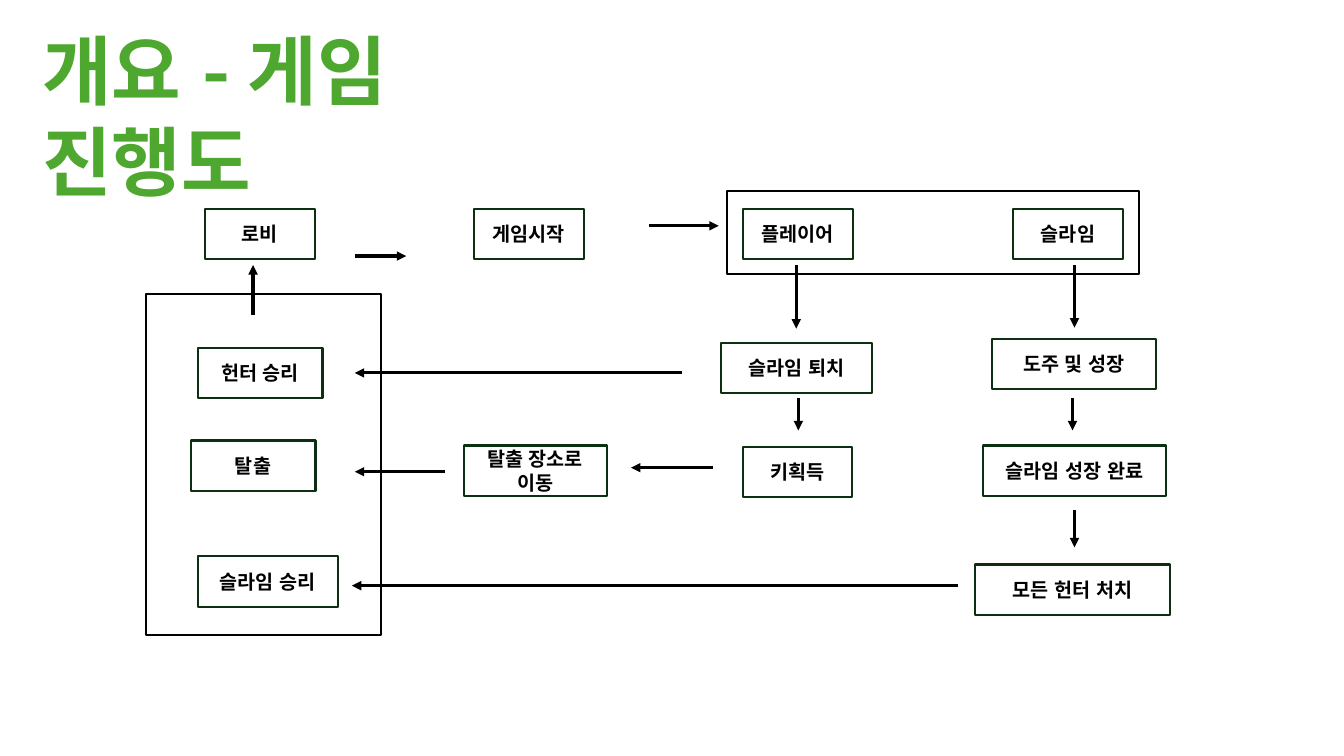
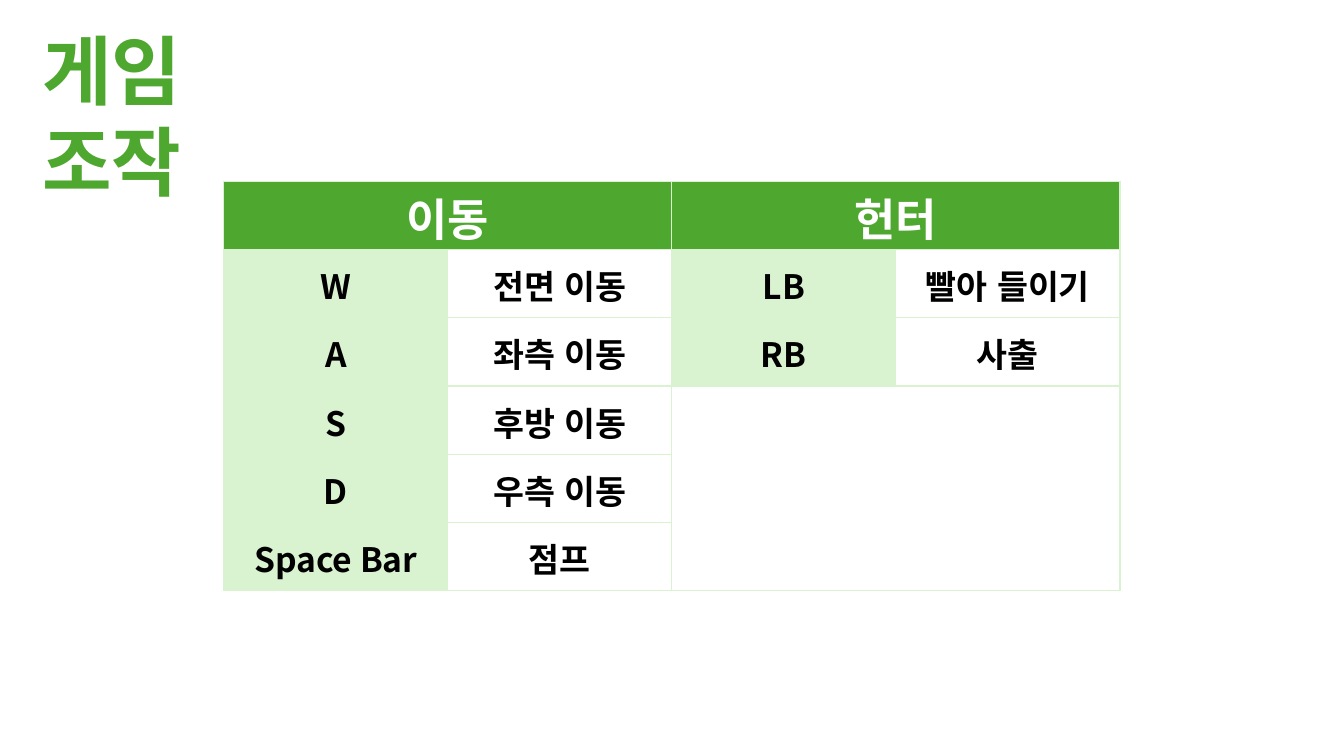
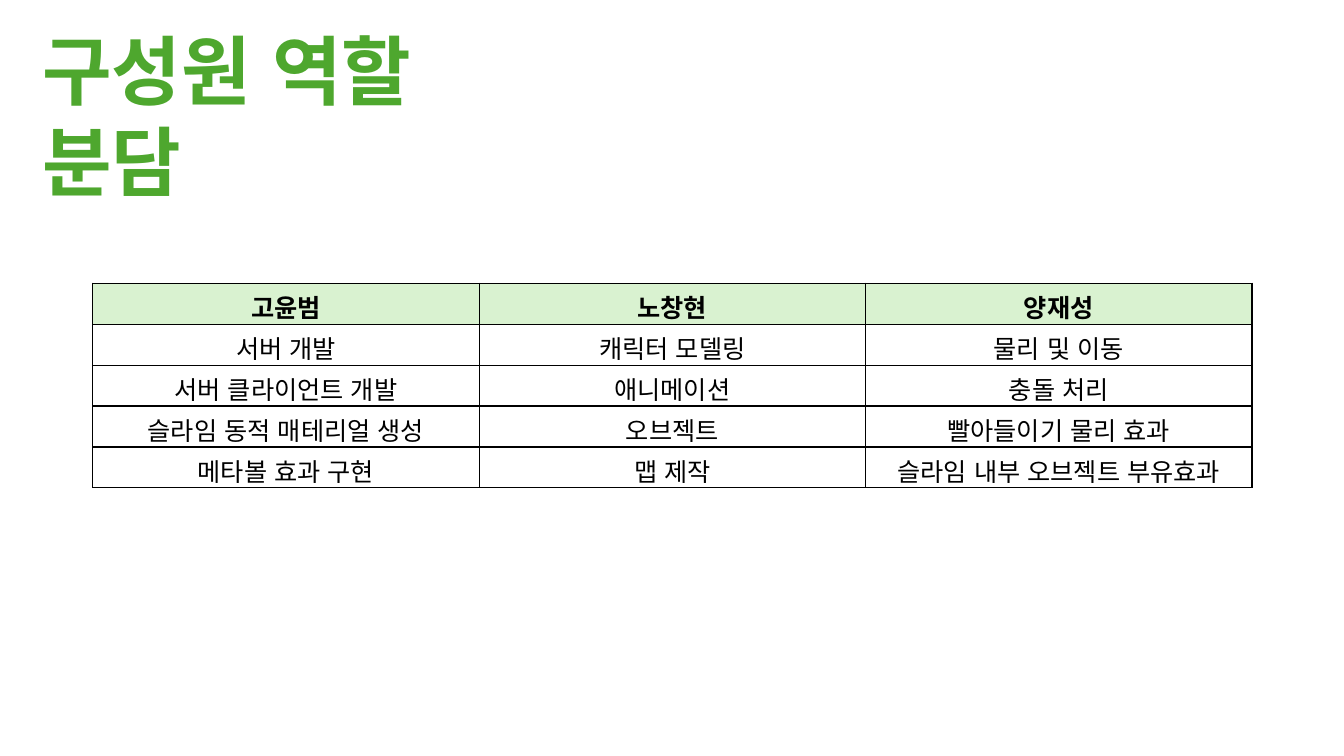
from lxml import etree
from pptx import Presentation, util as u
from pptx.dml.color import RGBColor
from pptx.enum import lang, shapes, text
from pptx.oxml.ns import qn

FONT = "Noto Sans CJK KR"
GREEN, PALE, DARK = "4EA72E", "D9F2D0", "0B2F10"
BLACK, WHITE = "000000", "FFFFFF"
color = RGBColor.from_string

deck = Presentation()
deck.slide_width, deck.slide_height = u.Inches(13.33), u.Inches(7.5)
column, row = deck.slide_width / 100, deck.slide_height / 100


def place(x, y, right, down):
    return [round(v) for v in (x * column, y * row, right * column, down * row)]


def write(frame, words, size, hue, bold=True, align=text.PP_ALIGN.CENTER):
    frame.text = words
    paragraph = frame.paragraphs[0]
    paragraph.alignment = align
    font = paragraph.font
    font.name, font.size, font.bold = FONT, u.Pt(size), bold
    font.language_id = lang.MSO_LANGUAGE_ID.KOREAN
    font.color.rgb = color(hue)
    etree.SubElement(paragraph._p.pPr.find(qn("a:defRPr")), qn("a:ea"), typeface=FONT)


pages = []
for heading, span in (("개요 - 게임 진행도", 44.78), ("게임 조작", 22.88), ("구성원 역할 분담", 40.73)):
    page = deck.slides.add_slide(deck.slide_layouts[6])
    title = page.shapes.add_textbox(*place(2.4, 2.53, span, 13.47)).text_frame
    title.word_wrap = True
    title.auto_size = text.MSO_AUTO_SIZE.SHAPE_TO_FIT_TEXT
    title.margin_right = u.Inches(1)
    write(title, heading, 54, GREEN, align=text.PP_ALIGN.LEFT)
    pages.append(page)
flow, controls, roles = pages

STEP = 6.67
players = (54.08, 25.33, 30.68, 10.93, BLACK, "")
endings = (10.88, 38.93, 17.48, 45.07, BLACK, "")
steps = [
    (15.23, 27.6, 8.18, "로비"),
    (35.25, 27.6, 8.18, "게임시작"),
    (55.28, 27.6, 8.18, "플레이어"),
    (75.38, 27.6, 8.18, "슬라임"),
    (14.7, 46, 9.3, "헌터 승리"),
    (14.18, 58.27, 9.3, "탈출"),
    (14.7, 73.6, 10.43, "슬라임 승리"),
    (53.63, 45.33, 11.25, "슬라임 퇴치"),
    (55.28, 59.07, 8.1, "키획득"),
    (34.5, 58.93, 10.65, "탈출 장소로 이동"),
    (73.8, 44.8, 12.23, "도주 및 성장"),
    (73.13, 58.93, 13.65, "슬라임 성장 완료"),
    (72.53, 74.67, 14.55, "모든 헌터 처치"),
]
boxes = [players, endings] + [(x, y, w, STEP, DARK, words) for x, y, w, words in steps]
for x, y, w, h, edge, words in boxes:
    box = flow.shapes.add_shape(shapes.MSO_SHAPE.RECTANGLE, *place(x, y, w, h))
    box.shadow.inherit = False
    box.fill.background()
    box.line.color.rgb = color(edge)
    box.line.width = u.Pt(1.5)
    if words:
        box.text_frame.vertical_anchor = text.MSO_ANCHOR.MIDDLE
        write(box.text_frame, words, 14, BLACK)

across = [
    (26.4, 30.23, 33.87),
    (48.3, 53.48, 29.87),
    (50.78, 26.4, 49.33),
    (53.03, 46.95, 61.87),
    (33.15, 26.4, 62.4),
    (71.25, 26.18, 77.47),
]
upright = [
    (18.83, 41.73, 35.07),
    (59.25, 35.07, 43.47),
    (79.95, 35.07, 43.33),
    (59.4, 52.67, 56.93),
    (79.8, 52.67, 56.93),
    (79.95, 67.47, 72.4),
]
arrows = [(start, y, end, y) for start, end, y in across]
arrows += [(x, start, x, end) for x, start, end in upright]
for ends in arrows:
    arrow = flow.shapes.add_connector(shapes.MSO_CONNECTOR.STRAIGHT, *place(*ends))
    arrow.line.color.rgb = color(BLACK)
    arrow.line.width = u.Pt(2.25)
    etree.SubElement(arrow.line._get_or_add_ln(), qn("a:tailEnd"), type="triangle")
    etree.SubElement(arrow._element.spPr, qn("a:effectLst"))

keys = [
    ("이동", "", "헌터", ""),
    ("W", "전면 이동", "LB", "빨아 들이기"),
    ("A", "좌측 이동", "RB", "사출"),
    ("S", "후방 이동", "", ""),
    ("D", "우측 이동", "", ""),
    ("Space Bar", "점프", "", ""),
]
duties = [
    ("고윤범", "노창현", "양재성"),
    ("서버 개발", "캐릭터 모델링", "물리 및 이동"),
    ("서버 클라이언트 개발", "애니메이션", "충돌 처리"),
    ("슬라임 동적 매테리얼 생성", "오브젝트", "빨아들이기 물리 효과"),
    ("메타볼 효과 구현", "맵 제작", "슬라임 내부 오브젝트 부유효과"),
]
key_merges = [(0, 0, 0, 1), (0, 2, 0, 3), (3, 2, 5, 3)]
key_style = dict(edge=PALE, head=(32, WHITE, GREEN), body=(24, True), margins=(0.03, 0))
duty_style = dict(edge=BLACK, head=(18, BLACK, PALE), body=(18, False), margins=(0.05, 0.05))

for page, area, rows, merges, style in (
    (controls, (16.65, 24, 66.68, 54.13), keys, key_merges, key_style),
    (roles, (6.9, 37.47, 86.25, 27.07), duties, [], duty_style),
):
    grid = page.shapes.add_table(len(rows), len(rows[0]), *place(*area)).table
    grid.first_row = grid.horz_banding = False
    for top, left, bottom, right in merges:
        grid.cell(top, left).merge(grid.cell(bottom, right))
    for r, line in enumerate(rows):
        for c, words in enumerate(line):
            cell = grid.cell(r, c)
            cell.margin_top, cell.margin_bottom = map(u.Inches, style["margins"])
            if cell.is_spanned:
                continue
            cell.vertical_anchor = text.MSO_ANCHOR.MIDDLE
            for side in "LRTB":
                edge = etree.SubElement(cell._tc.get_or_add_tcPr(), qn("a:ln" + side), w=str(u.Pt(1)))
                paint = etree.SubElement(edge, qn("a:solidFill"))
                etree.SubElement(paint, qn("a:srgbClr"), val=style["edge"])
            size, hue, back = style["head"]
            bold = True
            if r:
                size, bold = style["body"]
                hue = BLACK
                back = PALE if rows is keys and words and c % 2 == 0 else WHITE
            cell.fill.solid()
            cell.fill.fore_color.rgb = color(back)
            if words:
                write(cell.text_frame, words, size, hue, bold)

deck.save("out.pptx")
